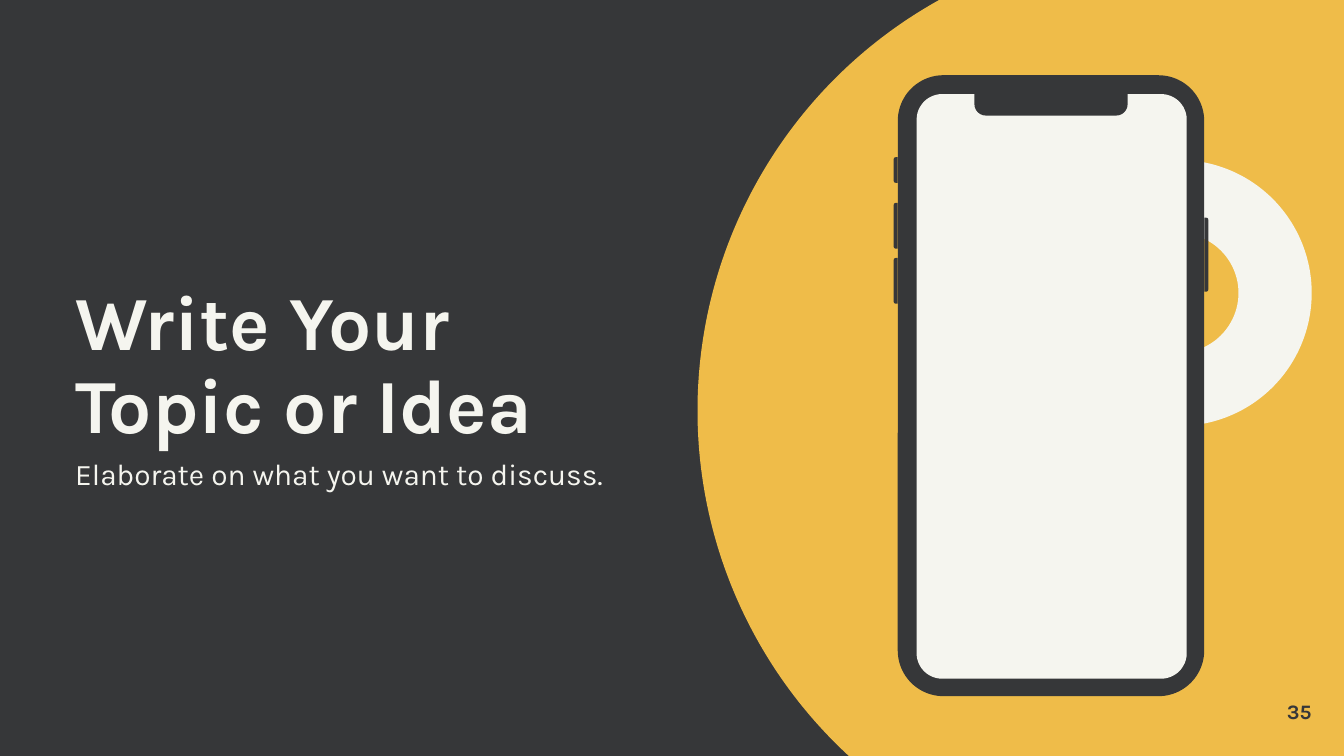
from pptx import Presentation
from pptx.dml.color import RGBColor
from pptx.enum import shapes, text
from pptx.util import Inches, Pt

DARK = "363739"
YELLOW = "EFBC49"
CREAM = "F5F5EF"
SHAPE = shapes.MSO_SHAPE


def paint(fill, color):
    fill.solid()
    fill.fore_color.rgb = RGBColor.from_string(color)


def add_figure(slide, kind, left, top, width, height, color, adjustments=(), rotation=0):
    figure = slide.shapes.add_shape(
        kind, Inches(left), Inches(top), Inches(width), Inches(height))
    figure.shadow.inherit = False
    paint(figure.fill, color)
    figure.line.fill.background()
    for i, value in enumerate(adjustments):
        figure.adjustments[i] = value
    figure.rotation = rotation


def add_rounded(slide, left, top, width, height, radius, color):
    add_figure(slide, SHAPE.ROUNDED_RECTANGLE, left, top, width, height, color,
               [radius / min(width, height)])


def add_side_button(slide, left, top, height, rotation):
    """Draw a phone key as a turned bar whose rounded end faces outwards."""
    width = 0.03
    add_figure(slide, SHAPE.ROUND_2_SAME_RECTANGLE,
               left + (width - height) / 2, top + (height - width) / 2,
               height, width, DARK, [0.5, 0], rotation)


def add_phone(slide):
    for top, height in ((1.17, 0.19), (1.51, 0.34), (1.92, 0.34)):
        add_side_button(slide, 6.65, top, height, 270)
    add_side_button(slide, 8.96, 1.62, 0.55, 90)

    add_rounded(slide, 6.68, 0.56, 2.28, 4.62, 0.34, DARK)
    add_rounded(slide, 6.7, 0.59, 2.24, 4.57, 0.31, DARK)
    add_rounded(slide, 6.82, 0.7, 2.01, 4.35, 0.19, CREAM)
    add_figure(slide, SHAPE.ROUND_2_SAME_RECTANGLE, 7.25, 0.69, 1.14, 0.17, DARK,
               [0.5, 0], 180)
    add_rounded(slide, 7.65, 0.74, 0.31, 0.04, 0.02, DARK)
    add_figure(slide, SHAPE.OVAL, 8.06, 0.73, 0.06, 0.06, DARK)


def add_text(slide, left, top, width, height, words, size, color, bold=False,
             anchor=text.MSO_ANCHOR.TOP, align=text.PP_ALIGN.LEFT, line_spacing=1.0):
    box = slide.shapes.add_textbox(
        Inches(left), Inches(top), Inches(width), Inches(height))
    frame = box.text_frame
    frame.word_wrap = True
    frame.vertical_anchor = anchor
    frame.margin_left = frame.margin_right = 0
    frame.margin_top = frame.margin_bottom = 0
    frame.text = words
    paragraph = frame.paragraphs[0]
    paragraph.alignment = align
    paragraph.line_spacing = line_spacing
    font = paragraph.runs[0].font
    font.name = "Karla"
    font.size = Pt(size)
    font.bold = bold
    font.color.rgb = RGBColor.from_string(color)


def main():
    deck = Presentation()
    deck.slide_width = Inches(10)
    deck.slide_height = deck.slide_width * 9 // 16
    slide = deck.slides.add_slide(deck.slide_layouts[6])
    paint(slide.background.fill, DARK)

    add_figure(slide, SHAPE.CHORD, 5.19, -0.44, 6.99, 6.99, YELLOW,
               [143.85, 72.08], 180)
    add_figure(slide, SHAPE.DONUT, 7.78, 1.19, 1.98, 1.98, CREAM, [0.275])
    add_phone(slide)

    add_text(slide, 0.56, 1.81, 4.02, 1.54, "Write Your Topic or Idea", 41, CREAM,
             bold=True, anchor=text.MSO_ANCHOR.BOTTOM, line_spacing=0.9)
    add_text(slide, 0.56, 3.35, 4.02, 0.29, "Elaborate on what you want to discuss.",
             16, CREAM, line_spacing=1.15)
    add_text(slide, 9.16, 5.19, 0.6, 0.2, "35", 11, DARK, bold=True,
             anchor=text.MSO_ANCHOR.MIDDLE, align=text.PP_ALIGN.RIGHT)

    deck.save("out.pptx")


if __name__ == "__main__":
    main()
